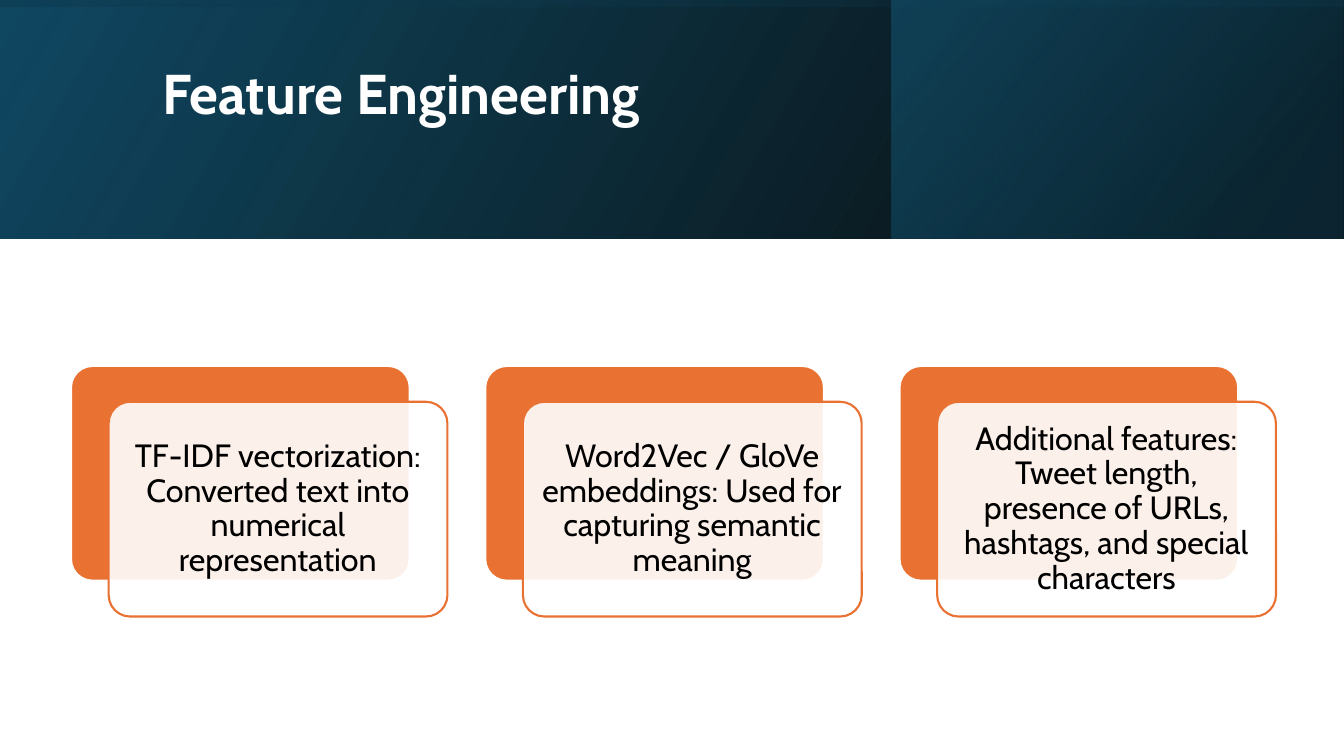
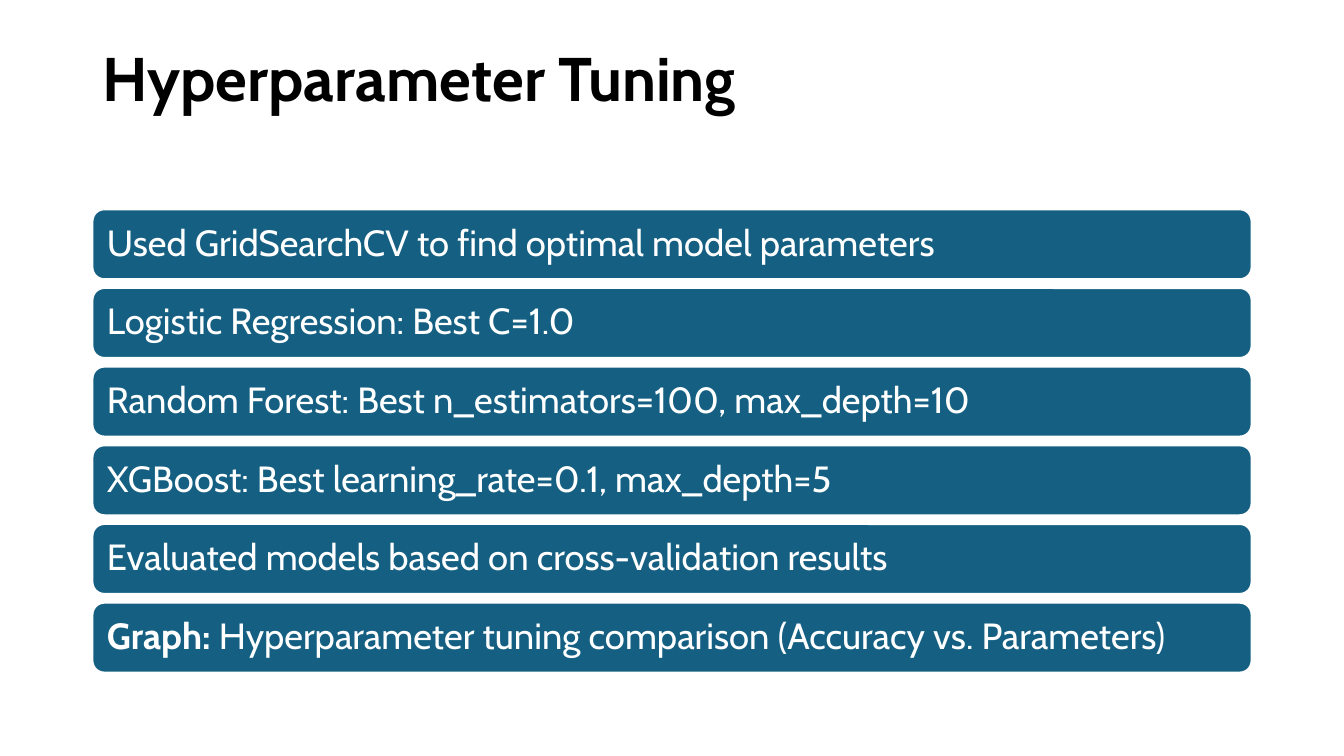
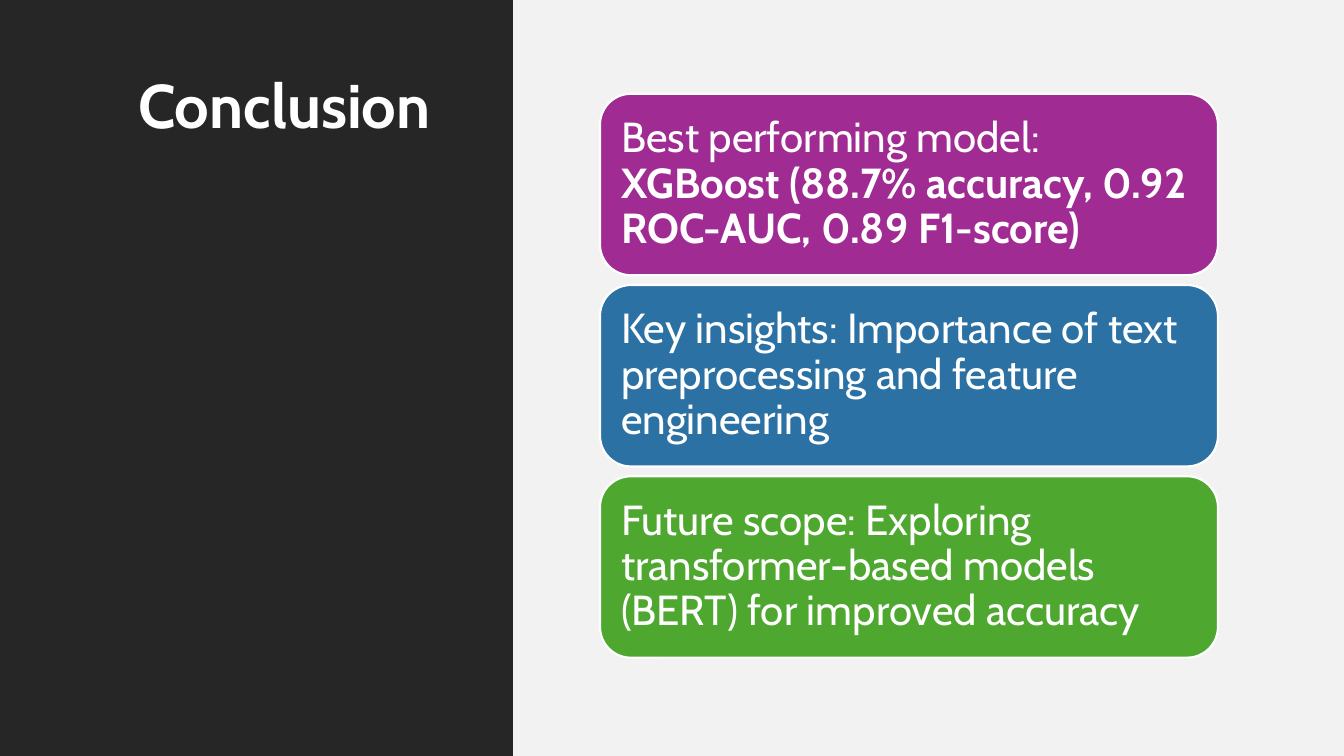
from lxml.etree import SubElement
from pptx import Presentation
from pptx.dml.color import RGBColor
from pptx.enum.shapes import MSO_SHAPE
from pptx.enum.text import MSO_ANCHOR, MSO_AUTO_SIZE, PP_ALIGN
from pptx.oxml.ns import qn
from pptx.util import Inches, Pt

COLUMNS, ROWS = 96, 54
FONT = "Cabin"
WHITE, BLACK = "FFFFFF", "000000"
ORANGE, TEAL, DEEP_TEAL, NAVY = "E97132", "156082", "104862", "0B3041"
PURPLE, BLUE, GREEN = "A02B93", "2C71A4", "4EA72E"
CHARCOAL, PALE = "262626", "F2F2F2"


def colour(value):
    """Turn a hex string into a colour."""
    return RGBColor.from_string(value)


def set_alpha(colour_node, percent):
    """Give a colour node its opacity."""
    SubElement(colour_node, qn("a:alpha")).set("val", str(percent * 1000))


class SlideBuilder:
    """Hold the deck's style and the slide being built."""

    def __init__(self):
        """Start a widescreen deck."""
        self.deck = Presentation()
        self.deck.slide_width, self.deck.slide_height = Inches(13.33), Inches(7.5)

    def place(self, left, top, width, height):
        """Turn grid columns and rows into slide lengths."""
        column, row = self.deck.slide_width / COLUMNS, self.deck.slide_height / ROWS
        return [int(left * column), int(top * row), int(width * column), int(height * row)]

    def new_slide(self):
        """Add a slide that has only a title."""
        self.page = self.deck.slides.add_slide(self.deck.slide_layouts[5])

    def paragraph(self, frame, spans, size, ink, align=PP_ALIGN.LEFT):
        """Fill one paragraph with (text, bold) spans."""
        frame.word_wrap = True
        para = frame.paragraphs[0]
        para.alignment, para.line_spacing = align, 0.9
        for text, bold in spans:
            span = para.add_run()
            span.text = text
            span.font.name, span.font.size, span.font.bold = FONT, Pt(size), bold
            span.font.color.rgb = colour(ink)

    def title(self, text, at, size=44, ink=WHITE, anchor=MSO_ANCHOR.MIDDLE):
        """Fill the title placeholder, leaving one line of room below."""
        box = self.page.shapes.title
        box.left, box.top, box.width, box.height = self.place(*at)
        frame = box.text_frame
        frame.auto_size, frame.vertical_anchor = MSO_AUTO_SIZE.NONE, anchor
        frame.margin_bottom = Pt(size * 1.1)
        self.paragraph(frame, [(text, True)], size, ink)
        self.page.shapes._spTree.append(box._element)

    def shape(self, kind, at, fill, line=None, alpha=None):
        """Add a flat shape."""
        box = self.page.shapes.add_shape(kind, *self.place(*at))
        box.shadow.inherit = False
        box.fill.solid()
        box.fill.fore_color.rgb = colour(fill)
        if alpha:
            set_alpha(box._element.spPr.find(".//" + qn("a:srgbClr")), alpha)
        if line:
            box.line.color.rgb, box.line.width = colour(line), Pt(1.5)
        else:
            box.line.fill.background()
        return box

    def gradient_band(self, at, stops, angle, rotation=0):
        """Add a mirrored band with (position, hex, opacity) stops."""
        box = self.shape(MSO_SHAPE.RECTANGLE, at, WHITE)
        box.rotation = rotation
        properties = box._element.spPr
        properties.xfrm.set("flipH", "1")
        box.fill.gradient()
        gradient = properties.find(qn("a:gradFill"))
        gradient.attrib.pop("rotWithShape", None)
        stop_list = gradient.find(qn("a:gsLst"))
        for old in list(stop_list):
            stop_list.remove(old)
        for position, value, opacity in stops:
            stop = SubElement(stop_list, qn("a:gs"))
            stop.set("pos", str(position * 1000))
            node = SubElement(stop, qn("a:srgbClr"))
            node.set("val", value)
            set_alpha(node, opacity)
        gradient.find(qn("a:lin")).set("ang", str(angle * 60000))

    def card(self, at, spans, size, fill, ink=WHITE, line=WHITE, inset=0.1,
             corner=0.17, alpha=None, align=PP_ALIGN.LEFT):
        """Add a rounded card with text."""
        box = self.shape(MSO_SHAPE.ROUNDED_RECTANGLE, at, fill, line, alpha)
        box.adjustments[0] = corner
        frame = box.text_frame
        frame.vertical_anchor = MSO_ANCHOR.MIDDLE
        frame.margin_left = frame.margin_right = Inches(inset)
        frame.margin_top = frame.margin_bottom = Inches(inset)
        self.paragraph(frame, spans, size, ink, align)

    def stack(self, at, gap, cards, size, inset):
        """Stack (fill, spans) cards at equal gaps."""
        left, top, width, height = at
        for index, (fill, spans) in enumerate(cards):
            row = top + index * (height + gap)
            self.card((left, row, width, height), spans, size, fill, inset=inset)


def feature_slide(builder):
    """Build the feature engineering slide."""
    builder.new_slide()
    band = 17.06
    builder.gradient_band((0, 0, COLUMNS, band), [(0, BLACK, 96), (100, DEEP_TEAL, 100)], 330)
    builder.gradient_band((63.65, 0, 32.3, band), [(19, NAVY, 68), (100, TEAL, 48)], 320)
    upright = ((COLUMNS - band) / 2, (band - COLUMNS) / 2, band, COLUMNS)
    builder.gradient_band(upright, [(23, DEEP_TEAL, 16), (99, BLACK, 45)], 350, 270)
    builder.title("Feature Engineering", (10.87, 2.74, 76.54, 12.38), size=40)
    features = [
        "TF-IDF vectorization: Converted text into numerical representation",
        "Word2Vec / GloVe embeddings: Used for capturing semantic meaning",
        "Additional features: Tweet length, presence of URLs, hashtags, and special characters",
    ]
    top, width, height, pitch = 26.14, 24.2, 15.34, 29.59
    for index, text in enumerate(features):
        left = 5.07 + index * pitch
        builder.card((left, top, width, height), [], 23, ORANGE, corner=0.1)
        builder.card((left + 2.69, top + 2.56, width, height), [(text, False)], 23, WHITE,
                     ink=BLACK, line=ORANGE, corner=0.1, alpha=90, align=PP_ALIGN.CENTER)


def tuning_slide(builder):
    """Build the hyperparameter tuning slide."""
    builder.new_slide()
    builder.title("Hyperparameter Tuning", (6.6, 2.88, 82.8, 10.44), ink=BLACK)
    steps = [
        [("Used GridSearchCV to find optimal model parameters", False)],
        [("Logistic Regression: Best C=1.0", False)],
        [("Random Forest: Best n_estimators=100, max_depth=10", False)],
        [("XGBoost: Best learning_rate=0.1, max_depth=5", False)],
        [("Evaluated models based on cross-validation results", False)],
        [("Graph:", True), (" Hyperparameter tuning comparison (Accuracy vs. Parameters)", False)],
    ]
    builder.stack((6.6, 14.95, 82.8, 5), 0.62, [(TEAL, step) for step in steps], 26, 0.11)


def conclusion_slide(builder):
    """Build the conclusion slide."""
    builder.new_slide()
    split = 36.65
    builder.shape(MSO_SHAPE.RECTANGLE, (0, 0, split, ROWS), CHARCOAL)
    builder.shape(MSO_SHAPE.RECTANGLE, (split, 0, COLUMNS - split, ROWS), PALE)
    builder.title("Conclusion", (9.14, 5.04, 22.82, 43.92), anchor=MSO_ANCHOR.TOP)
    findings = [
        (PURPLE, [("Best performing model: ", False),
                  ("XGBoost (88.7% accuracy, 0.92 ROC-AUC, 0.89 F1-score)", True)]),
        (BLUE, [("Key insights: Importance of text preprocessing and feature engineering", False)]),
        (GREEN, [("Future scope: Exploring transformer-based models (BERT) for improved accuracy",
                  False)]),
    ]
    builder.stack((42.86, 6.7, 44.14, 12.96), 0.7, findings, 30, 0.12)


def main():
    """Build and save the deck."""
    builder = SlideBuilder()
    feature_slide(builder)
    tuning_slide(builder)
    conclusion_slide(builder)
    builder.deck.save("out.pptx")


if __name__ == "__main__":
    main()
